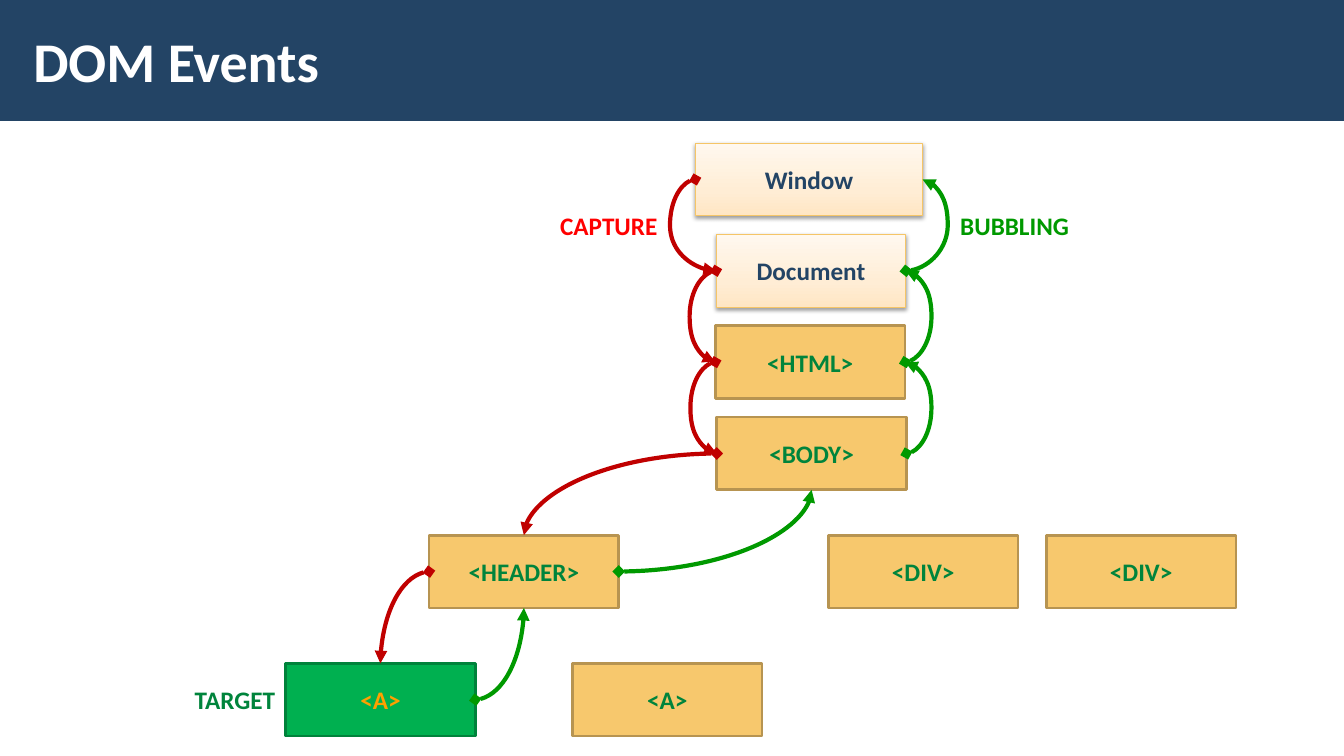
import lxml.etree
import pptx
import pptx.dml.color
import pptx.enum.shapes
import pptx.enum.text
import pptx.oxml.ns
import pptx.util

Pt = pptx.util.Pt
qn = pptx.oxml.ns.qn
ALIGN = pptx.enum.text.PP_ALIGN
RECTANGLE = pptx.enum.shapes.MSO_SHAPE.RECTANGLE

NAVY, WHITE = "234465", "FFFFFF"
AMBER, AMBER_EDGE, TAG_GREEN = "F7C86D", "B79451", "00843C"
CAPTURE_RED, BUBBLE_GREEN = "C00000", "009900"
CREAM_STOPS = [(0, "FFE6C4"), (35, "FFEDD5"), (100, "FFF8EF")]

TAG_WIDTH, BOX_HEIGHT = 135.5, 52
STACK_TOP, STACK_STEP = 102.2, 65.25
CHILD_TOP, LINK_TOP = 382.3, 473.8
BULGE = 18
TOP, LEFT, BOTTOM, RIGHT = range(4)


def color(value):
    return pptx.dml.color.RGBColor.from_string(value)


def add_element(parent, tag, **attributes):
    values = {name: str(value) for name, value in attributes.items()}
    return lxml.etree.SubElement(parent, qn(tag), values)


def write(shape, words, size, ink, align):
    frame = shape.text_frame
    frame.word_wrap = True
    frame.vertical_anchor = pptx.enum.text.MSO_ANCHOR.MIDDLE
    paragraph = frame.paragraphs[0]
    paragraph.text = words
    paragraph.alignment = align
    font = paragraph.font
    font.name, font.size, font.bold = "Calibri", Pt(size), True
    font.color.rgb = color(ink)


def add_label(slide, words, left, top, width, height, ink, align, size=18):
    label = slide.shapes.add_textbox(Pt(left), Pt(top), Pt(width), Pt(height))
    write(label, words, size, ink, align)
    return label


def add_header(slide, title, width):
    band = slide.shapes.add_shape(RECTANGLE, 0, 0, width, Pt(86.4))
    band.shadow.inherit = False
    band.fill.solid()
    band.fill.fore_color.rgb = color(NAVY)
    band.line.fill.background()
    heading = add_label(slide, title, 15.1, 7.9, 749, 70, WHITE, ALIGN.LEFT, 40)
    heading.text_frame.margin_left = heading.text_frame.margin_right = Pt(8.64)


def add_box(slide, words, left, top, width, ink, edge, edge_width):
    box = slide.shapes.add_shape(RECTANGLE, Pt(left), Pt(top), Pt(width), Pt(BOX_HEIGHT))
    box.shadow.inherit = False
    box.line.color.rgb = color(edge)
    box.line.width = Pt(edge_width)
    write(box, words, 18, ink, ALIGN.CENTER)
    return box


def add_tag(slide, words, left, top, fill=AMBER, edge=AMBER_EDGE, ink=TAG_GREEN):
    tag = add_box(slide, words, left, top, TAG_WIDTH, ink, edge, 2)
    tag.fill.solid()
    tag.fill.fore_color.rgb = color(fill)
    return tag


def add_object(slide, words, left, top, width=TAG_WIDTH):
    """Cream gradient box with a soft shadow below it."""
    box = add_box(slide, words, left, top, width, NAVY, "F5C567", 0.75)
    box.fill.gradient()
    box.fill.gradient_angle = 90
    properties = box._element.spPr
    stops = properties.find(qn("a:gradFill")).find(qn("a:gsLst"))
    for stop in list(stops):
        stops.remove(stop)
    for position, shade in CREAM_STOPS:
        stop = add_element(stops, "a:gs", pos=position * 1000)
        add_element(stop, "a:srgbClr", val=shade)
    shadow = add_element(properties.find(qn("a:effectLst")), "a:outerShdw",
                         blurRad=Pt(3.1), dist=Pt(1.6), dir=5400000, rotWithShape=0)
    black = add_element(shadow, "a:srgbClr", val="000000")
    add_element(black, "a:alpha", val=38000)
    return box


def add_curve(slide, source, source_side, target, target_side, ink):
    curve = slide.shapes.add_connector(pptx.enum.shapes.MSO_CONNECTOR.CURVE, 0, 0, 0, 0)
    curve.begin_connect(source, source_side)
    curve.end_connect(target, target_side)
    curve.line.color.rgb = color(ink)
    curve.line.width = Pt(3)

    # Same side at both ends: bow outwards; otherwise: a quarter turn
    properties = curve._element.spPr
    geometry = properties.find(qn("a:prstGeom"))
    if source_side == target_side:
        ends = (curve.begin_x, curve.end_x)
        bow = min(ends) - Pt(BULGE) if source_side == LEFT else max(ends) + Pt(BULGE)
        share = round((bow - ends[0]) / (ends[1] - ends[0]) * 100000)
        add_element(geometry.find(qn("a:avLst")), "a:gd", name="adj1", fmla=f"val {share}")
    else:
        geometry.set("prst", "curvedConnector2")

    stroke = properties.find(qn("a:ln"))
    add_element(stroke, "a:headEnd", type="diamond")
    add_element(stroke, "a:tailEnd", type="triangle")
    add_element(properties, "a:effectLst")


def main():
    deck = pptx.Presentation()
    deck.slide_width, deck.slide_height = Pt(960), Pt(540)
    slide = deck.slides.add_slide(deck.slide_layouts[6])
    add_header(slide, "DOM Events", deck.slide_width)

    # Central stack
    stack_tops = [STACK_TOP + level * STACK_STEP for level in range(4)]
    window = add_object(slide, "Window", 496.6, stack_tops[0], 162.4)
    document = add_object(slide, "Document", 511.5, stack_tops[1])
    html = add_tag(slide, "<HTML>", 511, stack_tops[2])
    body = add_tag(slide, "<BODY>", 512, stack_tops[3])

    # Children of the body, then the links
    header = add_tag(slide, "<HEADER>", 306.5, CHILD_TOP)
    for left in (591.7, 747.4):
        add_tag(slide, "<DIV>", left, CHILD_TOP)
    target = add_tag(slide, "<A>", 204, LINK_TOP, "00B050", "00823B", "FFA000")
    add_tag(slide, "<A>", 408.9, LINK_TOP)

    # Capture runs down the left, bubbling climbs the right
    stack = [window, document, html, body]
    for outer, inner in zip(stack, stack[1:]):
        add_curve(slide, outer, LEFT, inner, LEFT, CAPTURE_RED)
        add_curve(slide, inner, RIGHT, outer, RIGHT, BUBBLE_GREEN)
    for outer, inner in ((body, header), (header, target)):
        add_curve(slide, outer, LEFT, inner, TOP, CAPTURE_RED)
        add_curve(slide, inner, RIGHT, outer, BOTTOM, BUBBLE_GREEN)

    # Phase names
    for words, left, top, ink, align in (
        ("CAPTURE", 350, 146.3, "FF0000", ALIGN.RIGHT),
        ("TARGET", 77, 485.3, TAG_GREEN, ALIGN.RIGHT),
        ("BUBBLING", 678.8, 146.3, BUBBLE_GREEN, ALIGN.LEFT),
    ):
        add_label(slide, words, left, top, 126.7, 29, ink, align)

    deck.save("out.pptx")


if __name__ == "__main__":
    main()
